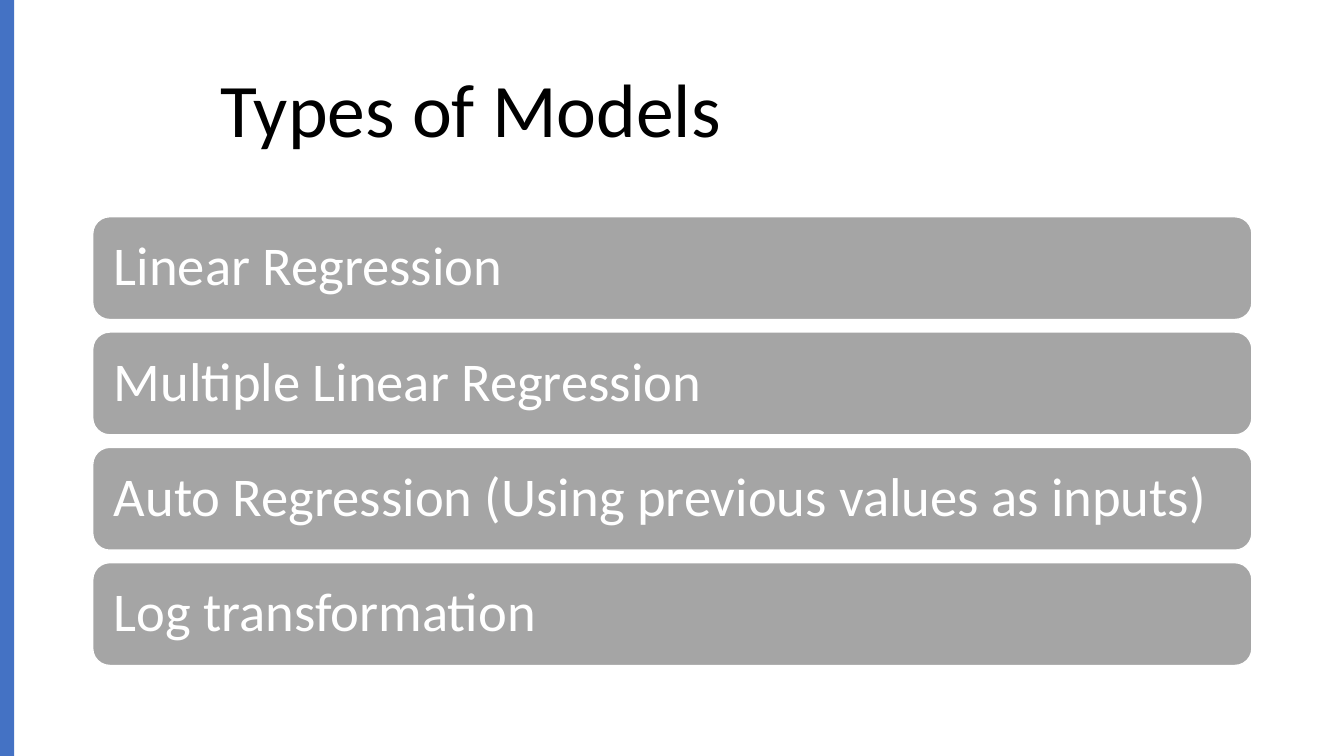
from pptx import Presentation
from pptx.dml.color import RGBColor
from pptx.enum.shapes import MSO_SHAPE
from pptx.enum.text import MSO_ANCHOR, PP_ALIGN
from pptx.util import Inches, Pt

RECTANGLE = MSO_SHAPE.RECTANGLE
ROUNDED_RECTANGLE = MSO_SHAPE.ROUNDED_RECTANGLE
MIDDLE = MSO_ANCHOR.MIDDLE
LEFT = PP_ALIGN.LEFT

MODELS = [
    "Linear Regression",
    "Multiple Linear Regression",
    "Auto Regression (Using previous values as inputs)",
    "Log transformation",
]
BAR_LEFT, BAR_TOP = 0.92, 2.15
BAR_WIDTH, BAR_HEIGHT = 11.5, 1.02
BAR_PITCH = 1.144
BAR_INSET = 0.16


def color(hex_string):
    return RGBColor.from_string(hex_string)


def write_text(shape, text, size, hex_string):
    frame = shape.text_frame
    frame.word_wrap = True
    frame.vertical_anchor = MIDDLE
    paragraph = frame.paragraphs[0]
    paragraph.text = text
    paragraph.alignment = LEFT
    paragraph.line_spacing = 0.9
    paragraph.font.name = "Calibri"
    paragraph.font.size = Pt(size)
    paragraph.font.color.rgb = color(hex_string)
    return frame


presentation = Presentation()
presentation.slide_width = Inches(13.333)
presentation.slide_height = Inches(7.5)
slide = presentation.slides.add_slide(presentation.slide_layouts[6])

title = slide.shapes.add_textbox(Inches(2.09), Inches(0.4), Inches(10.32), Inches(1.45))
write_text(title, "Types of Models", 54, "000000")

side_stripe = slide.shapes.add_shape(RECTANGLE, 0, 0, Inches(0.14), presentation.slide_height)
side_stripe.shadow.inherit = False
side_stripe.fill.solid()
side_stripe.fill.fore_color.rgb = color("4472C4")
side_stripe.line.fill.background()

for row, model in enumerate(MODELS):
    bar = slide.shapes.add_shape(
        ROUNDED_RECTANGLE,
        Inches(BAR_LEFT),
        Inches(BAR_TOP + row * BAR_PITCH),
        Inches(BAR_WIDTH),
        Inches(BAR_HEIGHT),
    )
    bar.shadow.inherit = False
    bar.fill.solid()
    bar.fill.fore_color.rgb = color("A5A5A5")
    bar.line.color.rgb = color("FFFFFF")
    bar.line.width = Pt(1)
    frame = write_text(bar, model, 39, "FFFFFF")
    frame.margin_left = frame.margin_right = Inches(BAR_INSET)
    frame.margin_top = frame.margin_bottom = Inches(BAR_INSET)

presentation.save("out.pptx")
